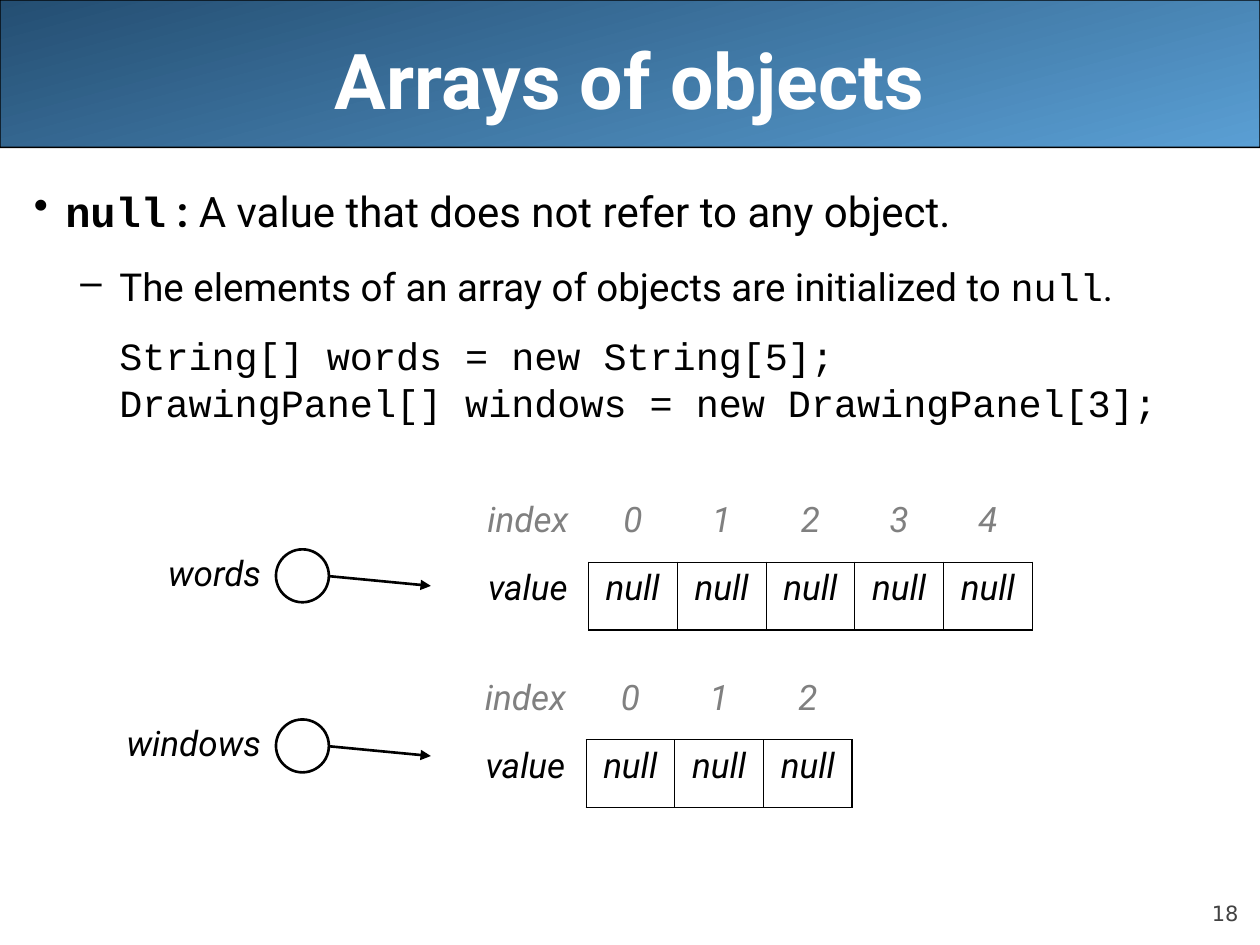
import pptx
import pptx.util
import pptx.dml.color
import pptx.enum.shapes
import pptx.enum.text
import pptx.oxml.ns
from lxml import etree

Inches = pptx.util.Inches
Pt = pptx.util.Pt
ALIGN = pptx.enum.text.PP_ALIGN
ANCHOR = pptx.enum.text.MSO_ANCHOR
SHAPE = pptx.enum.shapes.MSO_SHAPE


def color(hex_text):
    return pptx.dml.color.RGBColor.from_string(hex_text)


def add_xml(parent, tag, **attributes):
    return etree.SubElement(parent, pptx.oxml.ns.qn(tag), attributes)


class SlideBuilder:
    font = "Roboto"
    code_font = "Courier New"
    black = "000000"
    white = "FFFFFF"
    gray = "808080"
    label_size = 20

    def __init__(self, slide):
        self.slide = slide

    def format_run(self, run, size, font=None, fill=None, bold=False, italic=False):
        run.font.size = Pt(size)
        run.font.name = font or self.font
        run.font.color.rgb = color(fill or self.black)
        run.font.bold = bold
        run.font.italic = italic

    def banner(self, left, top, width, height):
        shape = self.slide.shapes.add_shape(
            SHAPE.ROUNDED_RECTANGLE, Inches(left), Inches(top), Inches(width), Inches(height))
        shape.adjustments[0] = 0.001
        shape.shadow.inherit = False
        shape.fill.gradient()
        shape.fill.gradient_angle = 285
        for stop, shade in zip(shape.fill.gradient_stops, ("244E72", "5A9FD4")):
            stop.color.rgb = color(shade)
        shape.line.color.rgb = color(self.black)
        shape.line.width = Pt(0.75)

    def text_box(self, left, top, width, height, anchor=ANCHOR.TOP, shapes=None):
        box = (shapes or self.slide.shapes).add_textbox(
            Inches(left), Inches(top), Inches(width), Inches(height))
        box.text_frame.word_wrap = True
        box.text_frame.vertical_anchor = anchor
        return box.text_frame

    def line_of_text(self, text_frame, text, align, size, space=0, **style):
        text_frame.text = text
        paragraph = text_frame.paragraphs[0]
        paragraph.alignment = align
        paragraph.space_before = Pt(space)
        self.format_run(paragraph.runs[0], size, **style)

    def body_paragraph(self, paragraph, pieces, size, space, indent, hanging=0, bullet=None):
        paragraph.space_before = Pt(space)
        properties = paragraph._p.get_or_add_pPr()
        properties.set("marL", str(Inches(indent)))
        properties.set("indent", str(-Inches(hanging)))
        if bullet:
            bullet_color = add_xml(properties, "a:buClr")
            add_xml(bullet_color, "a:srgbClr", val=self.black)
            add_xml(properties, "a:buChar", char=bullet)
        for text, font, bold in pieces:
            run = paragraph.add_run()
            run.text = text
            self.format_run(run, size, font, bold=bold)

    def cell_borders(self, cell, **widths):
        properties = cell._tc.get_or_add_tcPr()
        for side in "LRTB":
            width = widths.get(side, 0)
            border = add_xml(properties, "a:ln" + side, w=str(Pt(width)))
            if width:
                fill = add_xml(border, "a:solidFill")
                add_xml(fill, "a:srgbClr", val=self.black)
            else:
                add_xml(border, "a:noFill")

    def array_table(self, left, top, values):
        label_width, cell_width, row_height = 0.96, 0.705, 0.54
        last = len(values)
        table = self.slide.shapes.add_table(
            2, last + 1, Inches(left), Inches(top),
            Inches(label_width + cell_width * last), Inches(2 * row_height)).table
        table.first_row = table.horz_banding = False
        for row in table.rows:
            row.height = Inches(row_height)
        rows = (["index", *range(last)], ["value", *values])
        for column, pair in enumerate(zip(*rows)):
            table.columns[column].width = Inches(cell_width if column else label_width)
            for row, text in enumerate(pair):
                cell = table.cell(row, column)
                self.line_of_text(cell.text_frame, str(text), ALIGN.CENTER, self.label_size,
                                  space=5, fill=self.black if row else self.gray, italic=True)
                if row and column:
                    self.cell_borders(cell, L=0.45, T=0.45, B=1.08,
                                      R=1.08 if column == last else 0.45)
                elif row:
                    self.cell_borders(cell, R=0.45)
                else:
                    self.cell_borders(cell, B=0.45 if column else 0)
                cell.fill.background()

    def arrow(self, shapes, start, end):
        connector = shapes.add_connector(
            pptx.enum.shapes.MSO_CONNECTOR.STRAIGHT, *map(Inches, (*start, *end)))
        connector.line.color.rgb = color(self.black)
        connector.line.width = Pt(1.5)
        add_xml(connector.line._get_or_add_ln(), "a:tailEnd", type="triangle")
        add_xml(connector._element.spPr, "a:effectLst")

    def variable(self, name, top, label_width):
        """A right-aligned name, its reference circle and the arrow to its array."""
        shapes = self.slide.shapes.add_group_shape().shapes
        label = self.text_box(2.17 - label_width, top, label_width, 0.49, shapes=shapes)
        self.line_of_text(label, name, ALIGN.RIGHT, self.label_size, space=5, italic=True)
        self.arrow(shapes, (2.58, top + 0.24), (3.42, top + 0.32))
        circle = shapes.add_shape(
            SHAPE.OVAL, Inches(2.19), Inches(top + 0.03), Inches(0.42), Inches(0.42))
        circle.shadow.inherit = False
        circle.fill.solid()
        circle.fill.fore_color.rgb = color(self.white)
        circle.line.color.rgb = color(self.black)
        circle.line.width = Pt(1.5)


def main():
    presentation = pptx.Presentation()
    presentation.slide_width = Inches(10)
    presentation.slide_height = Inches(7.5)
    builder = SlideBuilder(presentation.slides.add_slide(presentation.slide_layouts[6]))

    # Banner, page number and title
    builder.banner(0, 0, 10, 1.17)
    number = builder.text_box(9, 6.95, 0.83, 0.4, ANCHOR.BOTTOM)
    number.margin_left = number.margin_right = number.margin_top = number.margin_bottom = 0
    builder.line_of_text(number, "18", ALIGN.RIGHT, 12, space=5,
                         font="DejaVu Sans", fill="424242")
    title = builder.text_box(0.5, 0, 9, 1.25, ANCHOR.MIDDLE)
    builder.line_of_text(title, "Arrays of objects", ALIGN.CENTER, 44,
                         fill=builder.white, bold=True)

    # Explanation
    body = builder.text_box(0.17, 1.42, 9.83, 5.67)
    sans, code = builder.font, builder.code_font
    builder.body_paragraph(
        body.paragraphs[0],
        [("null", code, True), (" : ", sans, True),
         ("A value that does not refer to any object.", sans, False)],
        24, 6, 0.25, 0.25, "•")
    builder.body_paragraph(
        body.add_paragraph(),
        [("The elements of an array of objects are initialized to ", sans, False),
         ("null", code, False), (".", sans, False)],
        22, 16, 0.68, 0.31, "–")

    # Declarations
    for text, space in (("String[] words = new String[5];", 18),
                        ("DrawingPanel[] windows = new DrawingPanel[3];", 5.5)):
        paragraph = body.add_paragraph()
        paragraph.line_spacing = 0.8
        builder.body_paragraph(paragraph, [(text, code, False)], 22, space, 0.68)

    # Arrays and the variables that refer to them
    builder.array_table(3.71, 3.92, ["null"] * 5)
    builder.array_table(3.69, 5.33, ["null"] * 3)
    builder.variable("words", 4.33, 1.25)
    builder.variable("windows", 5.68, 1.5)

    presentation.save("out.pptx")


if __name__ == "__main__":
    main()
